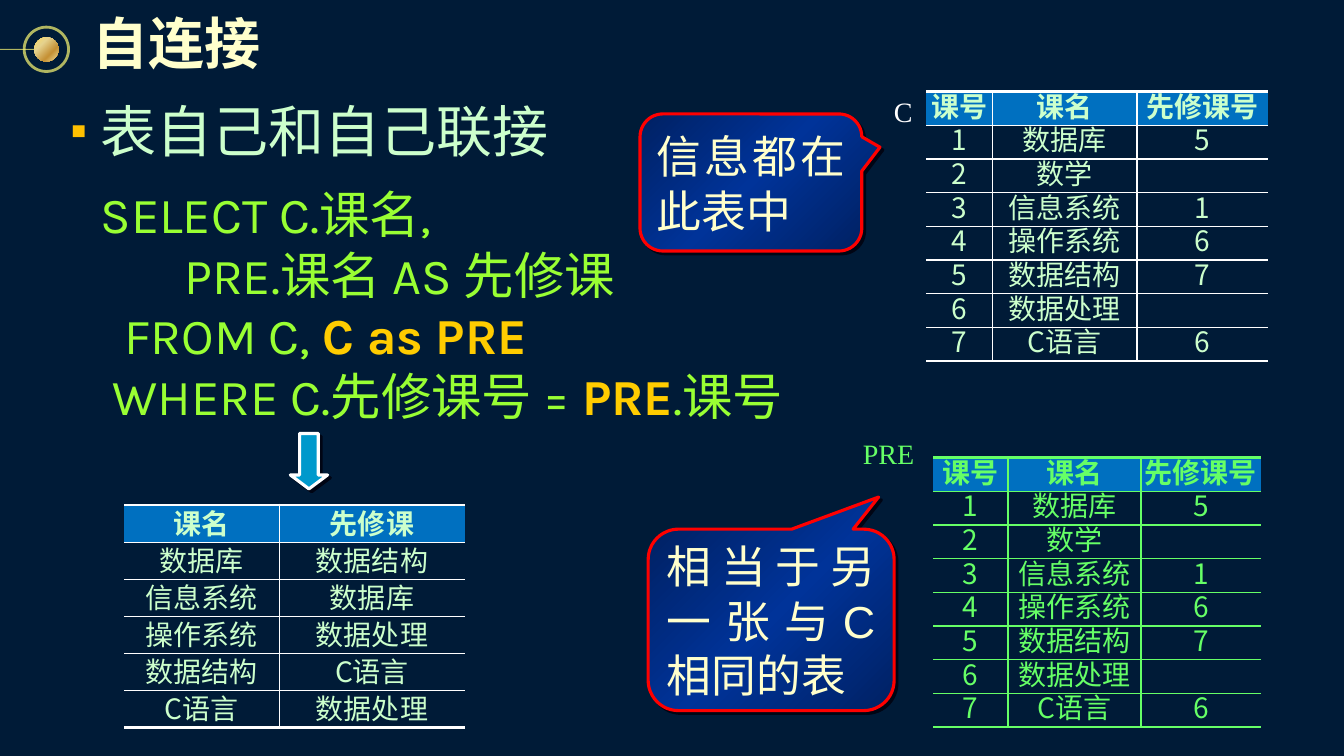
from dataclasses import dataclass

from lxml import etree
from pptx import Presentation
from pptx.dml.color import RGBColor as RGB
from pptx.enum.shapes import MSO_CONNECTOR as Link, MSO_SHAPE as Kind
from pptx.enum.text import MSO_ANCHOR as Anchor, MSO_AUTO_SIZE as Fit, PP_ALIGN as Align
from pptx.oxml import parse_xml
from pptx.oxml.ns import qn
from pptx.util import Pt

NS = 'xmlns:a="http://schemas.openxmlformats.org/drawingml/2006/main"'
PLAIN = "{2D5ABB26-0587-4C30-8999-92F81FD0307C}"


@dataclass(frozen=True)
class Theme:
    back: str = "001B37"
    cream: str = "FFFFCC"
    mint: str = "CCFFCC"
    white: str = "FFFFFF"
    green: str = "66FF66"
    lime: str = "99FF33"
    amber: str = "FFCC00"
    mark: str = "FFC000"
    head: str = "0070C0"
    red: str = "FF0000"
    arrow: str = "0099CC"
    ring: str = "FCF873"
    dark: str = "000514"
    gold: tuple = ((0, "FCD860"), (31, "E6D38F"), (68, "C69135"), (100, "F1DF97"))
    navy: tuple = ((0, "002163"), (50, "003399"), (100, "002163"))
    big: int = 40
    code: int = 36
    note: int = 32
    small: int = 20
    cjk: str = "Noto Sans CJK SC"
    sans: str = "Arial"
    serif: str = "Times New Roman"
    mono: str = "Karla"


T = Theme()
SHADE = (f'<a:outerShdw {NS} blurRad="0" dist="35900" dir="2700000">'
         f'<a:srgbClr val="{T.dark}"/></a:outerShdw>')


def rgb(code):
    return RGB.from_string(code)


def style(item, form):
    for key, value in form.items():
        setattr(item, key, value)


def box(nums):
    return [Pt(num) for num in nums]


# Text
def add_run(para, text, face, size, color, bold=False):
    run = para.add_run()
    run.text = text
    style(run.font, dict(name=face, size=Pt(size), bold=bold))
    run.font.color.rgb = rgb(color)
    latin = run._r.rPr.find(qn("a:latin"))
    latin.addnext(parse_xml(f'<a:ea {NS} typeface="{T.cjk}"/>'))


def add_text(slide, area, lines, wrap=True, inset=None, **form):
    """Each line is a list of runs; form goes to every paragraph."""
    frame = slide.shapes.add_textbox(*box(area)).text_frame
    frame.word_wrap = wrap
    if not wrap:
        frame.auto_size = Fit.SHAPE_TO_FIT_TEXT
    if inset is not None:
        sides = ("left", "top", "right", "bottom")
        style(frame, {f"margin_{side}": Pt(inset) for side in sides})
    for num, runs in enumerate(lines):
        para = frame.add_paragraph() if num else frame.paragraphs[0]
        style(para, form)
        for run in runs:
            add_run(para, *run)
    return frame


def add_bullet(para):
    props = para._p.get_or_add_pPr()
    parts = (f'<a:buClr {NS}><a:srgbClr val="{T.mark}"/></a:buClr>',
             f'<a:buSzPct {NS} val="85000"/>',
             f'<a:buFont {NS} typeface="{T.sans}"/>', f'<a:buChar {NS} char="▪"/>')
    for xml in parts:
        props.append(parse_xml(xml))
    props.set("marL", str(Pt(21.6)))
    props.set("indent", str(Pt(-21.6)))


# Shapes
def set_line(line, color, width, alpha=100):
    line.color.rgb = rgb(color)
    line.width = Pt(width)
    if alpha < 100:
        tone = line._ln.find(".//" + qn("a:srgbClr"))
        etree.SubElement(tone, qn("a:alpha")).set("val", str(alpha * 1000))


def add_shape(slide, kind, area, fill=None, shade=False):
    shape = slide.shapes.add_shape(kind, *box(area))
    shape.shadow.inherit = False
    if fill:
        shape.fill.solid()
        shape.fill.fore_color.rgb = rgb(fill)
    else:
        shape.fill.background()
    if shade:
        shape._element.spPr.find(qn("a:effectLst")).append(parse_xml(SHADE))
    return shape


def set_blend(shape, stops, angle):
    marks = "".join(f'<a:gs pos="{pos * 1000}"><a:srgbClr val="{color}"/></a:gs>'
                    for pos, color in stops)
    props = shape._element.spPr
    props.replace(props.find(qn("a:noFill")), parse_xml(
        f'<a:gradFill {NS} rotWithShape="1"><a:gsLst>{marks}</a:gsLst>'
        f'<a:lin ang="{angle * 60000}" scaled="0"/></a:gradFill>'))


def add_note(slide, area, tip, text):
    shape = add_shape(slide, Kind.ROUNDED_RECTANGULAR_CALLOUT, area, shade=True)
    for num, value in enumerate((*tip, 0.167)):
        shape.adjustments[num] = value
    set_blend(shape, T.navy, 45)
    set_line(shape.line, T.red, 2.25)
    frame = shape.text_frame
    style(frame, dict(word_wrap=True, vertical_anchor=Anchor.MIDDLE))
    para = frame.paragraphs[0]
    style(para, dict(alignment=Align.JUSTIFY, line_spacing=Pt(39)))
    add_run(para, text, T.sans, T.note, T.cream)


# Tables
def set_edge(cell, side, color, width):
    cell._tc.get_or_add_tcPr().append(parse_xml(
        f'<a:ln{side} {NS} w="{Pt(width)}"><a:solidFill><a:srgbClr val="{color}"/>'
        f'</a:solidFill></a:ln{side}>'))


def add_grid(slide, spot, cols, high, rows, ink, rule):
    count, last = len(rows), len(cols) - 1
    area = box((*spot, sum(cols), high * count))
    table = slide.shapes.add_table(count, len(cols), *area).table
    style(table, dict(first_row=False, horz_banding=False))
    table._tbl.tblPr.find(qn("a:tableStyleId")).text = PLAIN
    for col, width in zip(table.columns, cols):
        col.width = Pt(width)
    for r, words in enumerate(rows):
        table.rows[r].height = Pt(high)
        for c, word in enumerate(words):
            cell = table.cell(r, c)
            style(cell, dict(margin_left=0, margin_right=0, margin_bottom=0,
                             margin_top=Pt(high - 24)))
            if c:
                set_edge(cell, "L", rule, 1)
            if c < last:
                set_edge(cell, "R", rule, 1)
            set_edge(cell, "T", rule, 1 if r else 2.25)
            set_edge(cell, "B", rule, 1 if r < count - 1 else 2.25)
            if r:
                cell.fill.background()
            else:
                cell.fill.solid()
                cell.fill.fore_color.rgb = rgb(T.head)
            para = cell.text_frame.paragraphs[0]
            style(para, dict(alignment=Align.CENTER, line_spacing=Pt(24)))
            para.font.size = Pt(T.small)
            if word:
                add_run(para, word, T.cjk, T.small, ink, r == 0)


def add_badge(slide):
    ring = add_shape(slide, Kind.OVAL, (17.3, 19.4, 31.7, 31.7))
    set_line(ring.line, T.ring, 2, 70)
    stem = slide.shapes.add_connector(Link.STRAIGHT, *box((0, 35.3, 24.5, 35.3)))
    set_line(stem.line, T.ring, 0.75, 70)
    etree.SubElement(stem._element.spPr, qn("a:effectLst"))
    dot = add_shape(slide, Kind.OVAL, (24.5, 26.6, 17.3, 17.3))
    set_blend(dot, T.gold, 135)
    dot.rotation = 270
    dot.line.fill.background()


def main():
    deck = Presentation()
    style(deck, dict(slide_width=Pt(960), slide_height=Pt(540)))
    slide = deck.slides.add_slide(deck.slide_layouts[6])
    slide.background.fill.solid()
    slide.background.fill.fore_color.rgb = rgb(T.back)

    # Title and heading
    add_badge(slide)
    title = add_text(slide, (60.5, 0, 132.5, 59.8),
                     [[("自连接", T.cjk, T.big, T.cream, True)]], False, 5.8)
    title.vertical_anchor = Anchor.MIDDLE
    props = title.paragraphs[0].runs[0]._r.rPr
    props.find(qn("a:solidFill")).addnext(
        parse_xml(f"<a:effectLst {NS}>{SHADE}</a:effectLst>"))
    topic = add_text(slide, (43.2, 65.5, 671.8, 55.4),
                     [[("表自己和自己联接", T.sans, T.big, T.mint)]],
                     alignment=Align.JUSTIFY)
    add_bullet(topic.paragraphs[0])

    # Course table and its twin
    course = [("课号", "课名", "先修课号"), ("1", "数据库", "5"), ("2", "数学", ""),
              ("3", "信息系统", "1"), ("4", "操作系统", "6"), ("5", "数据结构", "7"),
              ("6", "数据处理", ""), ("7", "C语言", "6")]
    add_grid(slide, (661.7, 65.5), (47.5, 103, 93.6), 24, course, T.mint, T.white)
    add_grid(slide, (666.7, 326.9), (53.3, 95, 85.7), 24, course, T.green, T.green)
    for area, name, color in (((638.6, 67.7, 16, 24), "C", T.white),
                              ((616.3, 311.8, 44, 24), "PRE", T.green)):
        add_text(slide, area, [[(name, T.serif, T.small, color)]], inset=0)

    # Query
    plain, strong = (T.mono, T.code, T.lime), (T.mono, T.code, T.amber, True)
    add_text(slide, (64.8, 127.4, 553, 79.2), [
        [("SELECT C.课名,", *plain)],
        [("       PRE.课名 AS 先修课", *plain)],
        [("  FROM C, ", *plain), ("C as PRE", *strong)],
        [(" WHERE C.先修课号 = ", *plain), ("PRE", *strong), (".课号", *plain)],
    ], alignment=Align.JUSTIFY, line_spacing=Pt(43.2))

    # Result
    result = [("课名", "先修课"), ("数据库", "数据结构"), ("信息系统", "数据库"),
              ("操作系统", "数据处理"), ("数据结构", "C语言"), ("C语言", "数据处理")]
    add_grid(slide, (88.6, 360.7), (110.9, 132.5), 26.5, result, T.mint, T.white)
    arrow = add_shape(slide, Kind.DOWN_ARROW, (207.4, 309.6, 26.6, 39.6), T.arrow, True)
    arrow.adjustments[1] = 0.374
    set_line(arrow.line, T.white, 2.25)

    # Callouts
    add_note(slide, (457.2, 81.4, 158.4, 97.9), (0.582, -0.257), "信息都在此表中")
    add_note(slide, (463, 378, 175.7, 129.6), (0.437, -0.677), "相当于另一张与C相同的表")
    deck.save("out.pptx")


if __name__ == "__main__":
    main()
